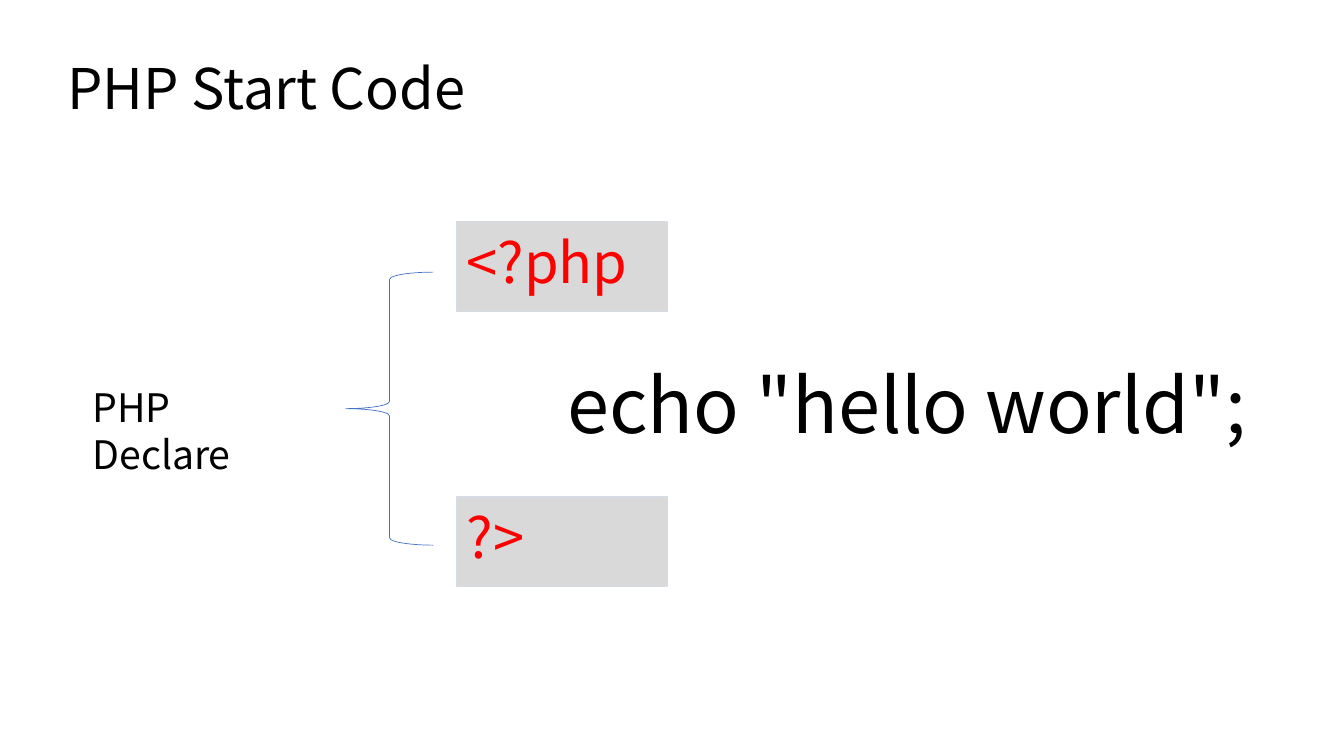
from pptx import Presentation
from pptx.dml.color import RGBColor
from pptx.enum.shapes import MSO_SHAPE
from pptx.enum.text import MSO_ANCHOR, MSO_AUTO_SIZE, PP_ALIGN
from pptx.util import Pt


def color(code):
    return RGBColor.from_string(code)


class Deck:
    """Holds the text style and the current slide."""
    face = "Noto Sans CJK KR"
    ink = "000000"
    red = "FF0000"
    gray = "D9D9D9"
    edge = "D6DCE5"
    blue = "4472C4"

    def __init__(self, wide, high):
        self.prs = Presentation()
        self.prs.slide_width, self.prs.slide_height = Pt(wide), Pt(high)
        self.slide = self.prs.slides.add_slide(self.prs.slide_layouts[5])

    def label(self, shape, words, size, ink):
        frame = shape.text_frame
        frame.text = words
        frame.word_wrap = True
        frame.auto_size = MSO_AUTO_SIZE.SHAPE_TO_FIT_TEXT
        frame.vertical_anchor = MSO_ANCHOR.TOP
        para = frame.paragraphs[0]
        para.alignment = PP_ALIGN.LEFT
        para.line_spacing = 1.0
        para.font.name = self.face
        para.font.size = Pt(size)
        para.font.color.rgb = color(ink)

    def title(self, words, x, y, w, h, size):
        head = self.slide.shapes.title
        head.left, head.top, head.width, head.height = map(Pt, (x, y, w, h))
        self.label(head, words, size, self.ink)

    def text(self, words, x, y, w, h, size, ink=ink):
        box = self.slide.shapes.add_textbox(*map(Pt, (x, y, w, h)))
        self.label(box, words, size, ink)

    def shape(self, kind, x, y, w, h, line, width, fill=None):
        item = self.slide.shapes.add_shape(kind, *map(Pt, (x, y, w, h)))
        item.shadow.inherit = False
        item.line.color.rgb = color(line)
        item.line.width = Pt(width)
        if fill:
            item.fill.solid()
            item.fill.fore_color.rgb = color(fill)
        else:
            item.fill.background()

    def tag(self, words, x, y, w):
        """Draw a PHP tag in red on a gray block."""
        self.shape(MSO_SHAPE.RECTANGLE, x, y, 150.5, 64,
                   self.edge, 1, self.gray)
        self.text(words, x, y + 0.7, w, 55.4, 40, self.red)


def main():
    deck = Deck(960, 540)
    deck.title("PHP Start Code", 41, 34.6, 586, 55.4, 40)
    deck.tag("<?php", 326.2, 158.4, 133.2)
    deck.text('echo "hello world";', 398.2, 252, 520.6, 72.7, 54)
    deck.tag("?>", 326.2, 355, 61.2)
    deck.shape(MSO_SHAPE.LEFT_BRACE, 247, 194.4, 62.6, 195, deck.blue, 0.5)
    deck.text("PHP Declare", 59, 270, 172, 41, 28)
    deck.prs.save("out.pptx")


if __name__ == "__main__":
    main()
